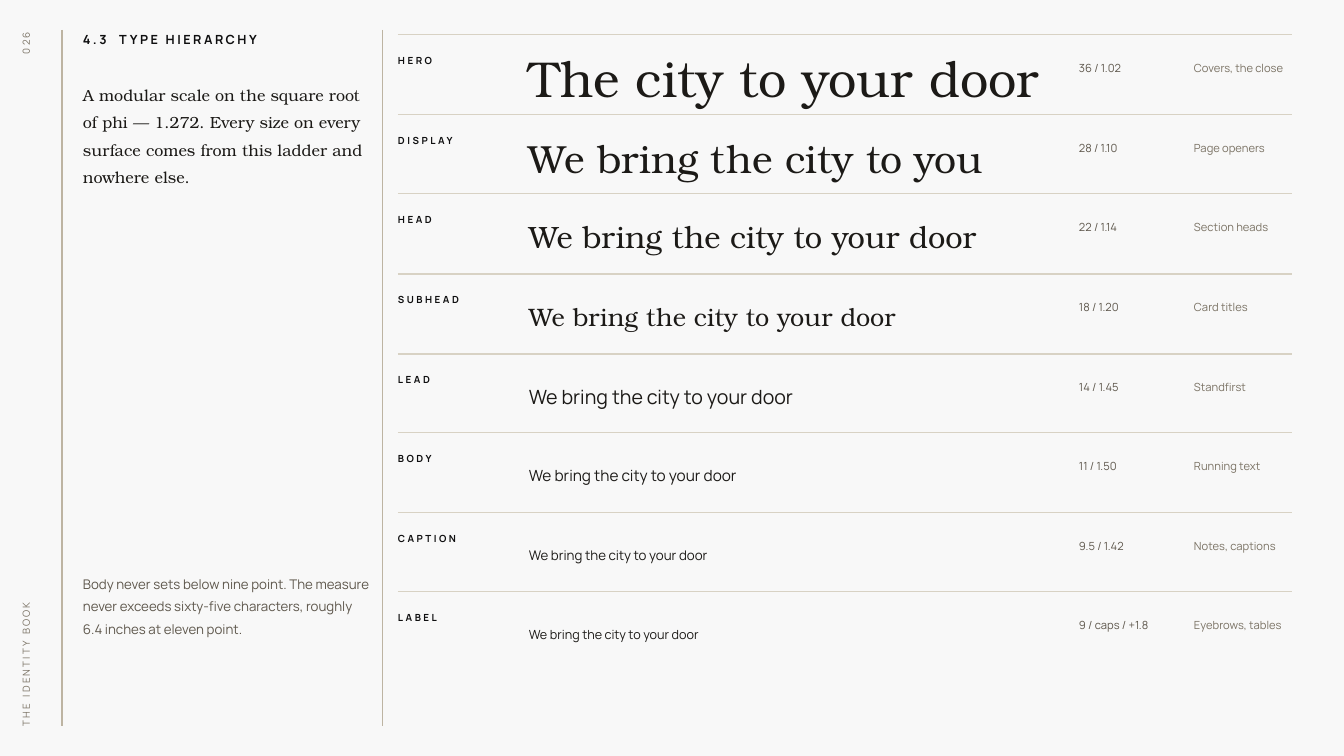
from pptx import Presentation
from pptx.dml.color import RGBColor
from pptx.enum.shapes import MSO_CONNECTOR
from pptx.enum.text import MSO_ANCHOR, MSO_AUTO_SIZE, PP_ALIGN
from pptx.oxml.ns import qn
from pptx.util import Pt
from lxml import etree

PX = 12192000 / 1344  # EMU per pixel
SANS, SERIF = "Manrope", "TeX Gyre Bonum"
BLACK, INK, BROWN, GREY = "0F0F10", "1C1A17", "5E574C", "7A7264"
RULE, ROW_RULE = "BDB4A2", "D8D2C4"

ROW_PITCH = 79.63
SAMPLE = "We bring the city to your door"
STYLES = [  # label, sample, size, font, specification, use
    ("HERO", "The city to your door", 36, SERIF, "36 / 1.02", "Covers, the close"),
    ("DISPLAY", "We bring the city to you", 28, SERIF, "28 / 1.10", "Page openers"),
    ("HEAD", SAMPLE, 22, SERIF, "22 / 1.14", "Section heads"),
    ("SUBHEAD", SAMPLE, 18, SERIF, "18 / 1.20", "Card titles"),
    ("LEAD", SAMPLE, 14, SANS, "14 / 1.45", "Standfirst"),
    ("BODY", SAMPLE, 11, SANS, "11 / 1.50", "Running text"),
    ("CAPTION", SAMPLE, 9.5, SANS, "9.5 / 1.42", "Notes, captions"),
    ("LABEL", SAMPLE, 9, SANS, "9 / caps / +1.8", "Eyebrows, tables"),
]


def px(value):
    return round(value * PX)


def color(hex_string):
    return RGBColor.from_string(hex_string)


def add_line(slide, x1, y1, x2, y2, stroke):
    line = slide.shapes.add_connector(MSO_CONNECTOR.STRAIGHT, px(x1), px(y1), px(x2), px(y2))
    line.line.color.rgb = color(stroke)
    line.line.width = Pt(0.75)
    etree.SubElement(line._element.spPr, qn("a:effectLst"))


def set_text(shape, box, text, size, ink, font=SANS, bold=False, tracking=0,
             spacing=1.0, anchor=MSO_ANCHOR.TOP, align=PP_ALIGN.LEFT, wrap=True):
    shape.left, shape.top, shape.width, shape.height = map(px, box)
    frame = shape.text_frame
    frame.margin_left = frame.margin_top = frame.margin_right = frame.margin_bottom = 0
    frame.auto_size = MSO_AUTO_SIZE.NONE
    frame.word_wrap = wrap
    frame.vertical_anchor = anchor
    paragraph = frame.paragraphs[0]
    paragraph.alignment = align
    paragraph.line_spacing = spacing
    run = paragraph.add_run()
    run.text = text
    run.font.name = font
    run.font.size = Pt(size)
    run.font.bold = bold
    run.font.color.rgb = color(ink)
    if tracking:
        run._r.get_or_add_rPr().set("spc", str(round(tracking * 100)))


def add_text(slide, box, *args, **kwargs):
    shape = slide.shapes.add_textbox(0, 0, 0, 0)
    set_text(shape, box, *args, **kwargs)
    return shape


def build_spine(slide, x, y, w, h):
    """Page number and book title, turned to read upwards, beside a rule."""
    add_line(slide, x + w, y, x + w, y + h, RULE)
    for text, length, middle, align in (
            ("026", 50, 13, PP_ALIGN.CENTER),
            ("THE IDENTITY BOOK", 262, 565, PP_ALIGN.LEFT)):
        box = (x + 26 - length / 2, y + middle - 15, length, 30)
        label = add_text(slide, box, text, 7, GREY, tracking=1.6,
                         anchor=MSO_ANCHOR.MIDDLE, align=align, wrap=False)
        label.rotation = 270


def build_intro(slide, x, y, w, h):
    """Title, introduction and footnote, closed by a rule on the right."""
    add_line(slide, x + w, y, x + w, y + h, RULE)
    text_x, text_w = x + 21, 289
    set_text(slide.shapes.title, (text_x, y + 2, text_w, 22), "4.3  TYPE HIERARCHY",
             9, BLACK, bold=True, tracking=1.8)
    add_text(slide, (text_x, y + 47, text_w, 423),
             "A modular scale on the square root of phi\u00a0— 1.272. Every size on every "
             "surface comes from this ladder and nowhere\u00a0else.",
             11.5, INK, SERIF, spacing=1.42)
    add_text(slide, (text_x, y + 540, text_w, 156),
             "Body never sets below nine point. The measure never exceeds sixty-five "
             "characters, roughly 6.4 inches at eleven\u00a0point.",
             9.5, BROWN, spacing=1.4)


def build_row(slide, x, y, w, style):
    """One step of the type scale under its rule."""
    label, sample, size, font, spec, use = style
    add_line(slide, x, y, x + w, y, ROW_RULE)
    add_text(slide, (x, y + 20, 121, 22), label, 7, BLACK, bold=True, tracking=1.8)
    add_text(slide, (x + 131, y + 8, 534, 69), sample, size, INK, font,
             anchor=MSO_ANCHOR.MIDDLE)
    add_text(slide, (x + 681, y + 26, 111, 30), spec, 8, BROWN)
    add_text(slide, (x + 796, y + 26, 98, 30), use, 8, GREY)


def build_ladder(slide, x, y, w):
    for i, style in enumerate(STYLES):
        build_row(slide, x, y + round(i * ROW_PITCH), w, style)


prs = Presentation()
prs.slide_width, prs.slide_height = px(1344), px(756)
page = prs.slides.add_slide(prs.slide_layouts[5])
page.background.fill.solid()
page.background.fill.fore_color.rgb = color("F8F8F8")

build_spine(page, 0, 30, 62, 696)
build_intro(page, 62, 30, 321, 696)
build_ladder(page, 398, 35, 894)

prs.save("out.pptx")
